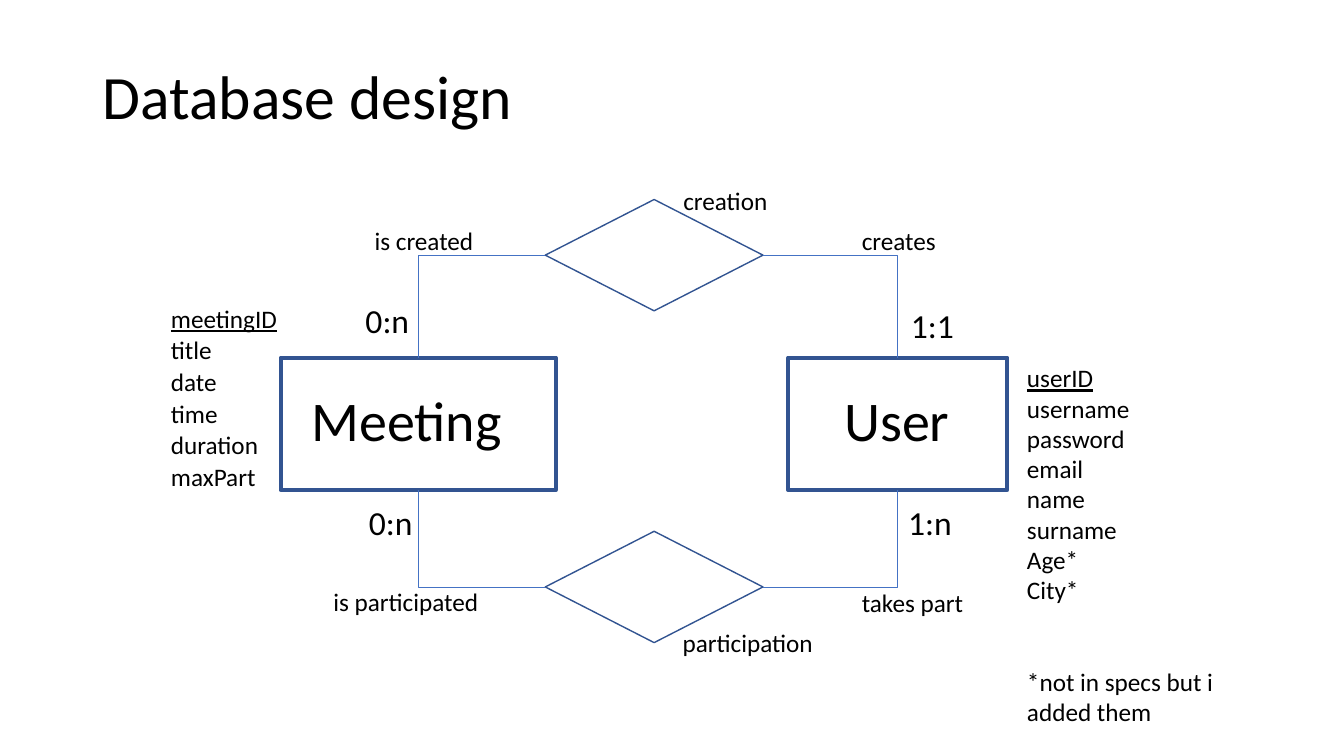
from pptx import Presentation
from pptx.dml.color import RGBColor
from pptx.enum.shapes import MSO_CONNECTOR as Connector, MSO_SHAPE as Shape
from pptx.enum.text import MSO_ANCHOR as Anchor, MSO_AUTO_SIZE as AutoSize, PP_ALIGN as Align
from pptx.oxml.ns import qn
from pptx.util import Pt
from lxml.etree import SubElement

COLORS = {"text": "000000", "outline": "325491", "link": "4472C4"}
TOP, LEFT, BOTTOM, RIGHT = range(4)


class DiagramSlide:
    font = "Calibri"

    def __init__(self, deck):
        self.slide = deck.slides.add_slide(deck.slide_layouts[5])
        self.shapes = self.slide.shapes

    def color(self, name):
        return RGBColor.from_string(COLORS[name])

    def add_words(self, paragraph, words, size, underline=False):
        run = paragraph.add_run()
        run.text = words
        run.font.name = self.font
        run.font.size = Pt(size)
        run.font.color.rgb = self.color("text")
        if underline:
            run.font.underline = True

    def title(self, words, left, top, width, height):
        heading = self.shapes.title
        heading.left, heading.top = Pt(left), Pt(top)
        heading.width, heading.height = Pt(width), Pt(height)
        frame = heading.text_frame
        frame.vertical_anchor = Anchor.MIDDLE
        paragraph = frame.paragraphs[0]
        paragraph.alignment = Align.LEFT
        paragraph.line_spacing = 0.9
        self.add_words(paragraph, words, 44)

    def text_frame(self, left, top, width, height):
        frame = self.shapes.add_textbox(Pt(left), Pt(top), Pt(width), Pt(height)).text_frame
        frame.word_wrap = True
        frame.auto_size = AutoSize.SHAPE_TO_FIT_TEXT
        return frame

    def label(self, words, left, top, width, height, size):
        frame = self.text_frame(left, top, width, height)
        self.add_words(frame.paragraphs[0], words, size)

    def attributes(self, names, left, top, width, height, gap=0):
        """List an entity's attributes, with its key (the first) underlined."""
        frame = self.text_frame(left, top, width, height)
        for index, name in enumerate(names):
            paragraph = frame.add_paragraph() if index else frame.paragraphs[0]
            paragraph.space_after = Pt(gap)
            self.add_words(paragraph, name, 18, underline=index == 0)
        return frame

    def outline(self, kind, left, top, width, height, weight):
        shape = self.shapes.add_shape(kind, Pt(left), Pt(top), Pt(width), Pt(height))
        shape.shadow.inherit = False
        shape.fill.background()
        shape.line.color.rgb = self.color("outline")
        shape.line.width = Pt(weight)
        return shape

    def link(self, relation, relation_side, entity, entity_side):
        """Join two shapes by a connector with a single right-angle bend."""
        connector = self.shapes.add_connector(Connector.ELBOW, 0, 0, 0, 0)
        connector.begin_connect(relation, relation_side)
        connector.end_connect(entity, entity_side)
        connector.line.color.rgb = self.color("link")
        connector.line.width = Pt(0.5)
        properties = connector._element.spPr
        properties.find(qn("a:prstGeom")).set("prst", "bentConnector2")
        SubElement(properties, qn("a:effectLst"))


def main():
    deck = Presentation()
    deck.slide_width, deck.slide_height = Pt(960), Pt(540)
    page = DiagramSlide(deck)
    page.title("Database design", 66, 19, 828, 104)

    meeting = page.outline(Shape.RECTANGLE, 200.5, 255.5, 196.5, 94.5, 3)
    user = page.outline(Shape.RECTANGLE, 563, 255.5, 156.5, 94.5, 3)
    page.label("Meeting", 215.5, 271.5, 190, 55.5, 40)
    page.label("User", 596, 271.5, 129, 55.5, 40)

    for relation_top, entity_side in ((142.5, TOP), (379.5, BOTTOM)):
        relation = page.outline(Shape.FLOWCHART_DECISION, 389.5, relation_top, 155.5, 79.5, 1)
        page.link(relation, LEFT, meeting, entity_side)
        page.link(relation, RIGHT, user, entity_side)

    page.attributes(("meetingID", "title", "date", "time", "duration", "maxPart"),
                    115, 213, 156, 143.5, gap=1)
    user_list = page.attributes(
        ("userID", "username", "password", "email", "name", "surname", "Age*", "City*",
         "*not in specs but i added them"), 726.5, 255.5, 167, 291)
    user_list.paragraphs[-1].space_before = Pt(44)

    for role, left, top, width in (
        ("creation", 481, 129, 123),
        ("participation", 480.5, 444.5, 124.5),
        ("creates", 608.5, 157.5, 91),
        ("is created", 260.5, 157.5, 99.5),
        ("takes part", 608.5, 416, 97),
        ("is participated", 231, 415.5, 123),
    ):
        page.label(role, left, top, width, 29, 18)

    for cardinality, left, top, width in (
        ("0:n", 254, 211, 61),
        ("1:1", 643.5, 214, 46),
        ("0:n", 256.5, 355, 69),
        ("1:n", 641.5, 355, 53.5),
    ):
        page.label(cardinality, left, top, width, 36, 24)

    deck.save("out.pptx")


if __name__ == "__main__":
    main()
